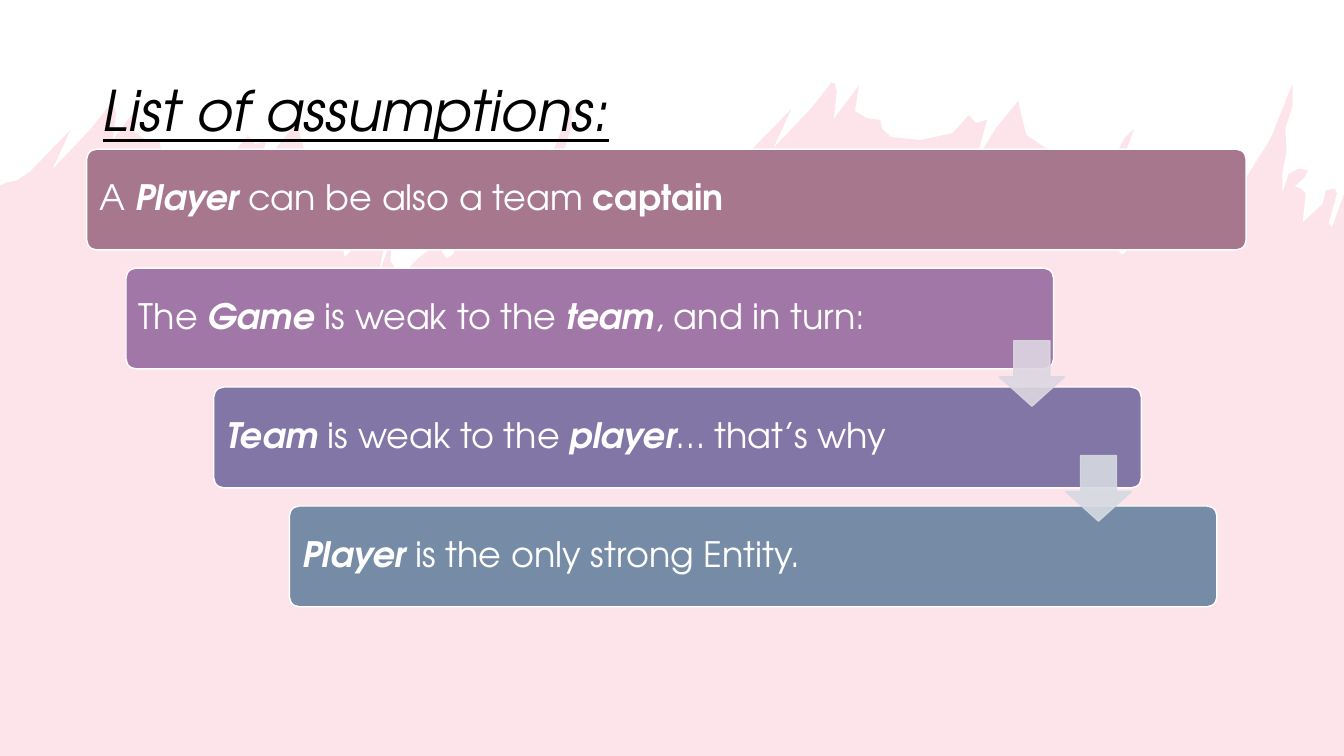
from lxml import etree
from pptx import Presentation
from pptx.dml.color import RGBColor
from pptx.enum.shapes import MSO_SHAPE
from pptx.enum.text import MSO_ANCHOR, MSO_AUTO_SIZE, PP_ALIGN
from pptx.oxml.ns import qn
from pptx.util import Inches, Pt

ROUNDED, DOWN_ARROW = MSO_SHAPE.ROUNDED_RECTANGLE, MSO_SHAPE.DOWN_ARROW
MIDDLE, LEFT, NO_FIT = MSO_ANCHOR.MIDDLE, PP_ALIGN.LEFT, MSO_AUTO_SIZE.NONE

FONT = "TeX Gyre Adventor"
SLIDE_W, SLIDE_H = 13.33, 7.5
BOLD_ITALIC, BOLD, PLAIN = (True, True), (True, False), (False, False)

# Bars: left, width, colour, runs of (text, (bold, italic))
BAR_TOP, BAR_PITCH, BAR_H = 1.48, 1.18, 1.0
ASSUMPTIONS = [
    (0.86, 11.5, "A6778D", [("A ", PLAIN), ("Player ", BOLD_ITALIC),
                            ("can be also a team ", PLAIN), ("captain", BOLD)]),
    (1.25, 9.2, "A077A6", [("The ", PLAIN), ("Game", BOLD_ITALIC), (" is weak to the ", PLAIN),
                           ("team", BOLD_ITALIC), (", and in turn:", PLAIN)]),
    (2.12, 9.2, "8176A6", [("Team ", BOLD_ITALIC), ("is weak to the ", PLAIN),
                           ("player", BOLD_ITALIC), ("… that’s why", PLAIN)]),
    (2.87, 9.2, "768BA6", [("Player ", BOLD_ITALIC), ("is the only strong Entity.", PLAIN)]),
]
# Arrows: left, top, colour
ARROW_SIZE = 0.65
ARROWS = [(9.91, 3.38, "DCD6E1"), (10.57, 4.52, "D6DAE1")]

# Brush edge: one stroke used twice, the second time shifted
STROKE_SHIFT = (7.15, -0.21)
BRUSH_START = [(0, 1.84), (0.07, 1.81), (0.17, 1.79)]
BRUSH_STROKE = [
    (0.3, 1.7), (0.7, 1.29), (0.52, 1.68), (0.9, 1.28), (1.05, 1.09), (1.09, 1.03),
    (1.13, 1.04), (1.15, 1.12), (1.12, 1.39), (1.23, 1.24), (1.37, 1.06), (1.33, 1.31),
    (1.44, 1.38), (1.58, 1.4), (1.6, 1.49), (1.69, 1.57), (1.98, 1.6), (2.3, 1.53),
    (2.46, 1.35), (2.53, 1.43), (2.64, 1.4), (2.53, 1.8), (2.73, 1.48), (2.95, 1.21),
    (2.97, 1.31), (3.03, 1.55), (3.21, 1.67), (3.23, 1.68), (3.38, 1.74), (3.4, 1.94),
    (3.37, 2.09), (3.41, 2.27), (3.39, 2.42), (3.42, 2.55), (3.55, 2.42), (3.55, 2.24),
    (3.63, 2.12), (3.78, 2), (4.01, 1.57), (4.1, 1.49), (3.87, 2.1), (3.76, 2.71),
    (3.9, 2.33), (3.87, 2.59), (3.97, 2.73), (4, 2.73), (4.09, 2.62), (4.15, 2.56),
    (4.36, 2.4), (4.39, 2.51), (4.43, 2.56), (4.49, 2.53), (4.68, 2.16), (4.83, 2.13),
    (4.85, 2.2), (4.84, 2.28), (4.96, 2.22), (5.08, 1.96), (5.14, 1.91), (5.17, 1.98),
    (5.18, 2.02), (5.45, 1.59), (5.67, 1.04), (5.67, 1.26), (5.6, 1.48), (5.61, 1.71),
    (5.57, 1.93), (5.57, 2.12), (5.63, 1.94), (5.73, 1.88), (5.82, 1.9), (5.79, 1.97),
    (5.69, 2.06), (5.75, 2.08), (5.8, 2.13), (5.77, 2.42), (5.97, 2.23), (6, 2.1),
]
BRUSH_BRIDGE = [
    (6.06, 2.07), (6.1, 2.04), (6.27, 2), (6.34, 1.94), (6.43, 1.79), (6.63, 1.53),
    (6.68, 1.62), (6.56, 1.9), (6.53, 2.1), (6.74, 1.82), (7.01, 1.54), (6.96, 1.75),
    (7, 1.76), (7.32, 1.58),
]
BRUSH_END = [(13.24, 1.87), (13.26, 1.92), (13.18, 2.21), (13.21, 2.26), (SLIDE_W, 1.93)]


def rgb(hex_colour):
    return RGBColor.from_string(hex_colour)


def paint(shape, colour, line=None, opacity=100):
    shape.shadow.inherit = False
    shape.fill.solid()
    shape.fill.fore_color.rgb = rgb(colour)
    if line:
        shape.line.color.rgb = rgb(line)
        shape.line.width = Pt(1)
    else:
        shape.line.fill.background()
    if opacity < 100:
        for colour_node in shape._element.spPr.iter(qn("a:srgbClr")):
            etree.SubElement(colour_node, qn("a:alpha"), val=str(opacity * 1000))


def add_run(paragraph, text, size, colour, bold=False, italic=False, underline=False):
    run = paragraph.add_run()
    run.text = text
    font = run.font
    font.name, font.size, font.color.rgb = FONT, Pt(size), rgb(colour)
    font.bold, font.italic, font.underline = bold, italic, underline


def add_brush_background(slide, width, height):
    dx, dy = STROKE_SHIFT
    second_stroke = [(x + dx, y + dy) for x, y in BRUSH_STROKE]
    outline = (BRUSH_START + BRUSH_STROKE + BRUSH_BRIDGE + second_stroke + BRUSH_END
               + [(width, height), (0, height)])
    points = [(Inches(x), Inches(y)) for x, y in outline]
    builder = slide.shapes.build_freeform(*points[0])
    builder.add_line_segments(points[1:], close=True)
    paint(builder.convert_to_shape(), "F07C98", opacity=20)


def add_title(slide, left, top, width, height):
    title = slide.shapes.title
    title.left, title.top = Inches(left), Inches(top)
    title.width, title.height = Inches(width), Inches(height)
    frame = title.text_frame
    frame.auto_size, frame.vertical_anchor, frame.word_wrap = NO_FIT, MIDDLE, True
    paragraph = frame.paragraphs[0]
    paragraph.alignment, paragraph.line_spacing = LEFT, 0.9
    paragraph.space_after = Pt(6)
    add_run(paragraph, "List of assumptions:", 40, "000000", italic=True, underline=True)
    # Bring the title in front of the brush
    slide.shapes._spTree.append(title._element)


def add_bar(slide, left, top, width, height, colour, runs):
    bar = slide.shapes.add_shape(ROUNDED, Inches(left), Inches(top), Inches(width), Inches(height))
    bar.adjustments[0] = 0.1
    paint(bar, colour, "FFFFFF")
    frame = bar.text_frame
    frame.word_wrap, frame.vertical_anchor = True, MIDDLE
    frame.margin_left = frame.margin_right = Inches(0.1)
    paragraph = frame.paragraphs[0]
    paragraph.alignment, paragraph.line_spacing = LEFT, 0.9
    for text, (bold, italic) in runs:
        add_run(paragraph, text, 25, "FFFFFF", bold, italic)


def add_arrow(slide, left, top, size, colour):
    arrow = slide.shapes.add_shape(DOWN_ARROW, Inches(left), Inches(top), Inches(size), Inches(size))
    arrow.adjustments[0], arrow.adjustments[1] = 0.55, 0.45
    paint(arrow, colour, colour, opacity=90)


def main():
    deck = Presentation()
    deck.slide_width, deck.slide_height = Inches(SLIDE_W), Inches(SLIDE_H)
    slide = deck.slides.add_slide(deck.slide_layouts[5])
    slide.background.fill.solid()
    slide.background.fill.fore_color.rgb = rgb("FFFFFF")

    add_brush_background(slide, SLIDE_W, SLIDE_H)
    add_title(slide, 0.92, 0.4, 11.5, 1.45)

    # Staircase of assumptions, then the arrows that link them
    for row, (left, width, colour, runs) in enumerate(ASSUMPTIONS):
        add_bar(slide, left, BAR_TOP + row * BAR_PITCH, width, BAR_H, colour, runs)
    for left, top, colour in ARROWS:
        add_arrow(slide, left, top, ARROW_SIZE, colour)

    deck.save("out.pptx")


if __name__ == "__main__":
    main()
